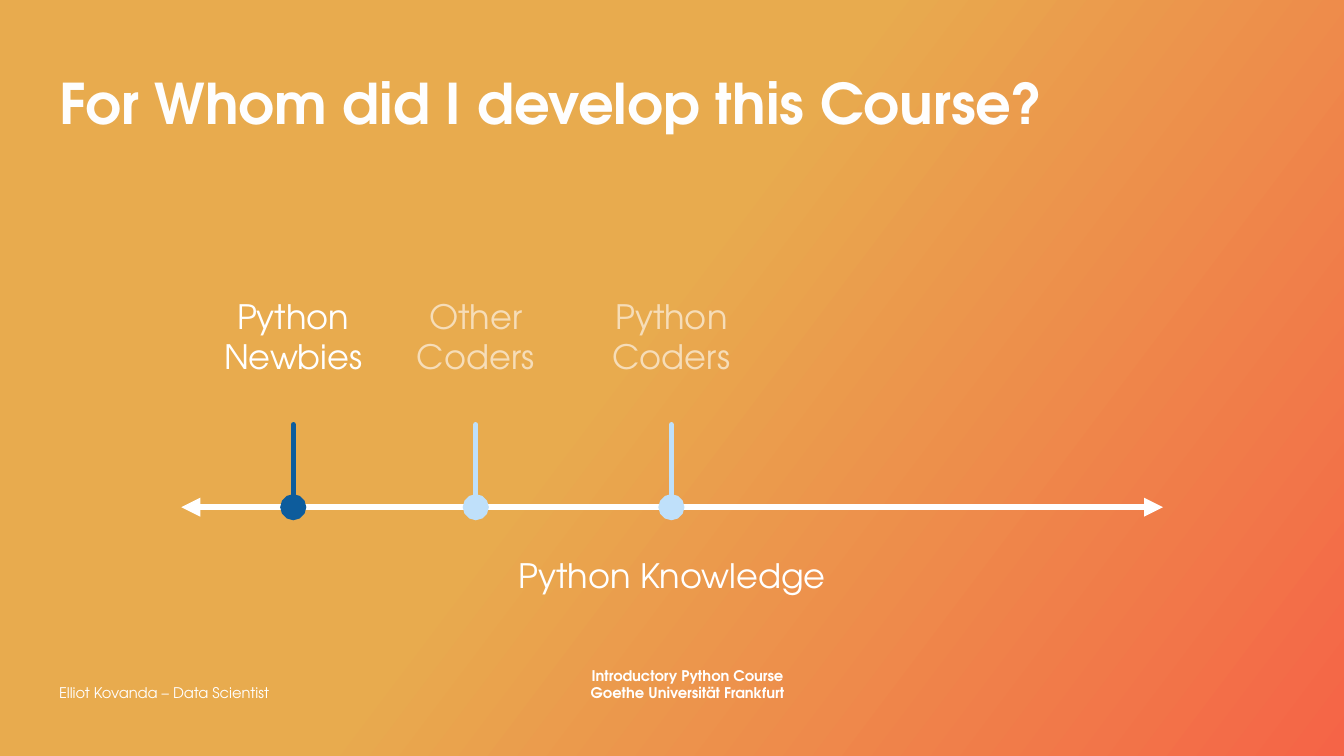
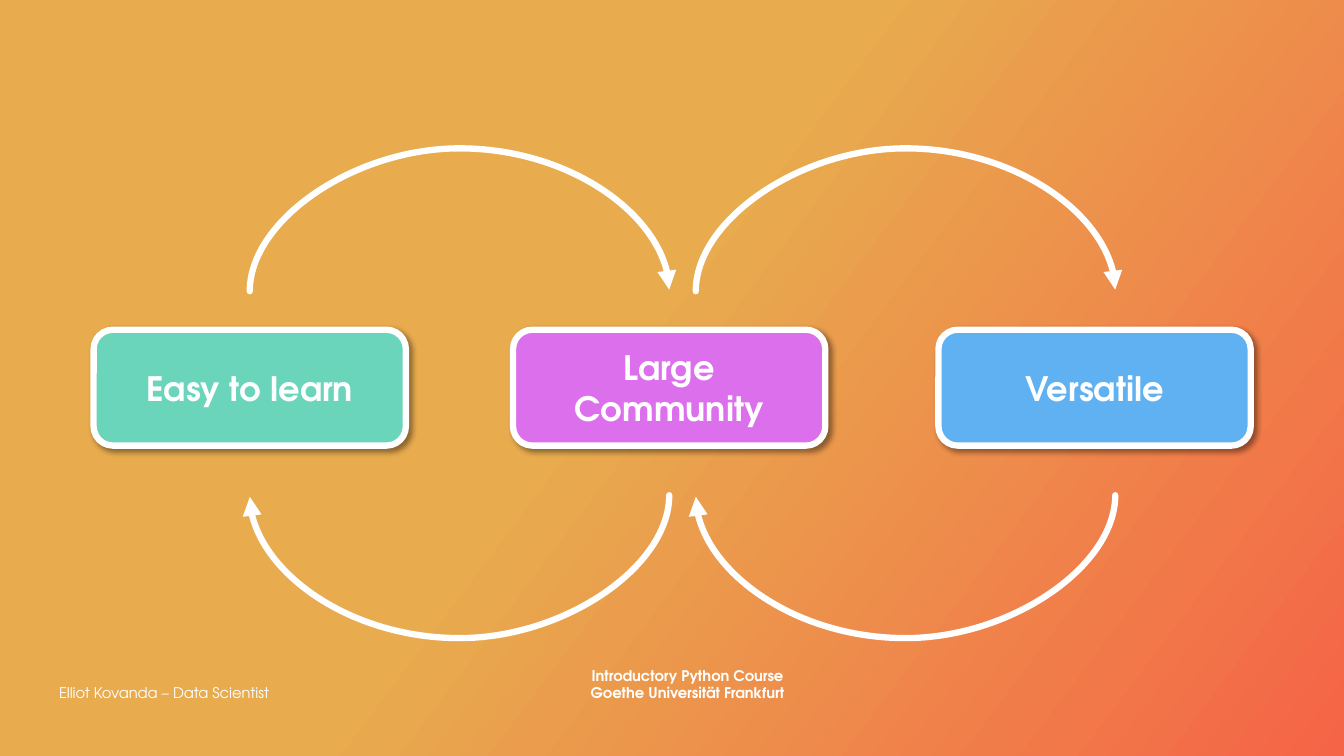
from dataclasses import dataclass

from lxml import etree
from pptx import Presentation
from pptx.dml.color import RGBColor
from pptx.enum import shapes, text
from pptx.oxml import parse_xml
from pptx.oxml.ns import nsdecls, qn
from pptx.util import Cm, Pt


@dataclass(frozen=True)
class Theme:
    font: str = "TeX Gyre Adventor"
    white: str = "FFFFFF"
    title_colour: str = "FEFEFE"
    amber: str = "E8AB4E"
    coral: str = "F56447"
    faded: str = "F6DDB8"
    navy: str = "0D5C9C"
    pale_blue: str = "BFE0FA"
    mint: str = "6AD5BB"
    orchid: str = "DC6FEC"
    sky: str = "60B1F2"
    title_size: float = 40
    body_size: float = 24
    footer_size: float = 10.5
    bold_line: float = 4.5
    tick_line: float = 3.75


THEME = Theme()
LEFT_MARGIN = 1.24


def colour(code):
    return RGBColor.from_string(code)


def write(frame, words, size, code=THEME.white, bold=False, align=text.PP_ALIGN.CENTER):
    para = frame.paragraphs[0]
    para.text = words
    para.alignment = align
    for span in para.runs:
        span.font.name = THEME.font
        span.font.size = Pt(size)
        span.font.bold = bold
        span.font.color.rgb = colour(code)


def add_text(page, area, words, size, anchor=text.MSO_ANCHOR.TOP, wrap=False, **style):
    box = page.shapes.add_textbox(*map(Cm, area))
    frame = box.text_frame
    frame.word_wrap = wrap
    frame.vertical_anchor = anchor
    write(frame, words, size, **style)
    return box


def shadow_xml():
    return parse_xml(
        f'<a:effectLst {nsdecls("a")}><a:outerShdw blurRad="{Pt(4)}" dist="{Pt(3)}" '
        'dir="2700000" algn="tl" rotWithShape="0"><a:srgbClr val="000000">'
        '<a:alpha val="40000"/></a:srgbClr></a:outerShdw></a:effectLst>'
    )


def add_line(page, kind, start, end, code, width, **ends):
    line = page.shapes.add_connector(kind, *map(Cm, (*start, *end)))
    line.line.color.rgb = colour(code)
    line.line.width = Pt(width)
    stroke = line.line._get_or_add_ln()
    stroke.set("cap", "rnd")
    etree.SubElement(stroke, qn("a:round"))
    for place in ("headEnd", "tailEnd"):
        if place in ends:
            shape, size = ends[place]
            etree.SubElement(stroke, qn(f"a:{place}"), type=shape, w=size, len=size)
    etree.SubElement(line._element.spPr, qn("a:effectLst"))
    return line


def paint_background(deck):
    fill = deck.slide_master.background.fill
    fill.gradient()
    fill.gradient_angle = 360 - 37
    for stop, position, code in zip(
        fill.gradient_stops, (0.46, 1), (THEME.amber, THEME.coral)
    ):
        stop.position = position
        stop.color.rgb = colour(code)


def add_footers(page):
    top, width, height = 16.79, 6.22, 1.02
    bottom = text.MSO_ANCHOR.BOTTOM
    add_text(page, (14.22, top, width, height),
             "Introductory Python Course\nGoethe Universität Frankfurt",
             THEME.footer_size, bottom, wrap=True, bold=True)
    add_text(page, (LEFT_MARGIN, top, width, height), "Elliot Kovanda – Data Scientist",
             THEME.footer_size, bottom, wrap=True, align=text.PP_ALIGN.LEFT)


def set_title(page, words):
    title = page.shapes.title
    title.left, title.top, title.width, title.height = map(
        Cm, (LEFT_MARGIN, 1.24, 29.36, 2.69)
    )
    frame = title.text_frame
    frame.vertical_anchor = text.MSO_ANCHOR.MIDDLE
    frame.auto_size = text.MSO_AUTO_SIZE.NONE
    write(frame, words, THEME.title_size, THEME.title_colour, True, text.PP_ALIGN.LEFT)
    for span in frame.paragraphs[0].runs:
        span.font.fill._xPr.find(qn("a:solidFill")).addnext(shadow_xml())


def add_knowledge_axis(page, left, top, width):
    axis_y = top + 5.46
    straight = shapes.MSO_CONNECTOR.STRAIGHT
    arrow = ("triangle", "med")
    add_line(page, straight, (left, axis_y), (left + width, axis_y),
             THEME.white, THEME.bold_line, headEnd=arrow, tailEnd=arrow)
    caption_width = 8.36
    add_text(page, (left + (width - caption_width) / 2, axis_y + 1.07, caption_width, 1.27),
             "Python Knowledge", THEME.body_size)
    label_width = 4.06
    audiences = (
        (2.82, "Python\nNewbies", THEME.white, THEME.navy),
        (7.42, "Other\nCoders", THEME.faded, THEME.pale_blue),
        (12.35, "Python\nCoders", THEME.faded, THEME.pale_blue),
    )
    for offset, words, text_code, mark_code in audiences:
        x = left + offset
        add_line(page, straight, (x, axis_y - 2.08), (x, axis_y),
                 mark_code, THEME.tick_line, tailEnd=("oval", "lg"))
        add_text(page, (x - label_width / 2, top, label_width, 2.31),
                 words, THEME.body_size, code=text_code)


def add_card(page, area, words, code):
    card = page.shapes.add_shape(shapes.MSO_SHAPE.ROUNDED_RECTANGLE, *map(Cm, area))
    card.fill.solid()
    card.fill.fore_color.rgb = colour(code)
    card.line.color.rgb = colour(THEME.white)
    card.line.width = Pt(THEME.bold_line)
    card.shadow.inherit = False
    properties = card._element.spPr
    properties.replace(properties.find(qn("a:effectLst")), shadow_xml())
    card.text_frame.word_wrap = True
    card.text_frame.vertical_anchor = text.MSO_ANCHOR.MIDDLE
    write(card.text_frame, words, THEME.body_size, bold=True)


def add_arc(page, centre_x, centre_y, span, rise, side):
    thin = 0.04
    across, along = side * thin / 2, side * span / 2
    arc = add_line(page, shapes.MSO_CONNECTOR.CURVE,
                   (centre_x - across, centre_y - along),
                   (centre_x + across, centre_y + along),
                   THEME.white, THEME.bold_line, tailEnd=("triangle", "med"))
    properties = arc._element.spPr
    properties.find(qn("a:xfrm")).set("rot", str(90 * 60000))
    guides = properties.find(qn("a:prstGeom")).get_or_add_avLst()
    etree.SubElement(guides, qn("a:gd"), name="adj1",
                     fmla=f"val {round(rise / thin * 100000)}")


def add_cycle(page, left, top):
    card_width, card_height = 7.87, 2.92
    cards = (
        (0, "Easy to learn", THEME.mint),
        (10.57, "Large Community", THEME.orchid),
        (21.29, "Versatile", THEME.sky),
    )
    for offset, words, code in cards:
        add_card(page, (left + offset, top, card_width, card_height), words, code)
    middle_y = top + card_height / 2 + 0.14
    for side in (-1, 1):
        for offset in (9.22, 20.46):
            add_arc(page, left + offset, middle_y + side * 2.59, 10.57, 3.6, side)


def build_audience_page(deck):
    page = deck.slides.add_slide(deck.slide_layouts[5])
    set_title(page, "For Whom did I develop this Course?")
    add_footers(page)
    add_knowledge_axis(page, 4.57, 7.32, 24.74)


def build_reasons_page(deck):
    page = deck.slides.add_slide(deck.slide_layouts[6])
    add_footers(page)
    add_cycle(page, 2.36, 8.31)


def main():
    deck = Presentation()
    deck.slide_width, deck.slide_height = Cm(33.87), Cm(19.05)
    paint_background(deck)
    build_audience_page(deck)
    build_reasons_page(deck)
    deck.save("out.pptx")


if __name__ == "__main__":
    main()
